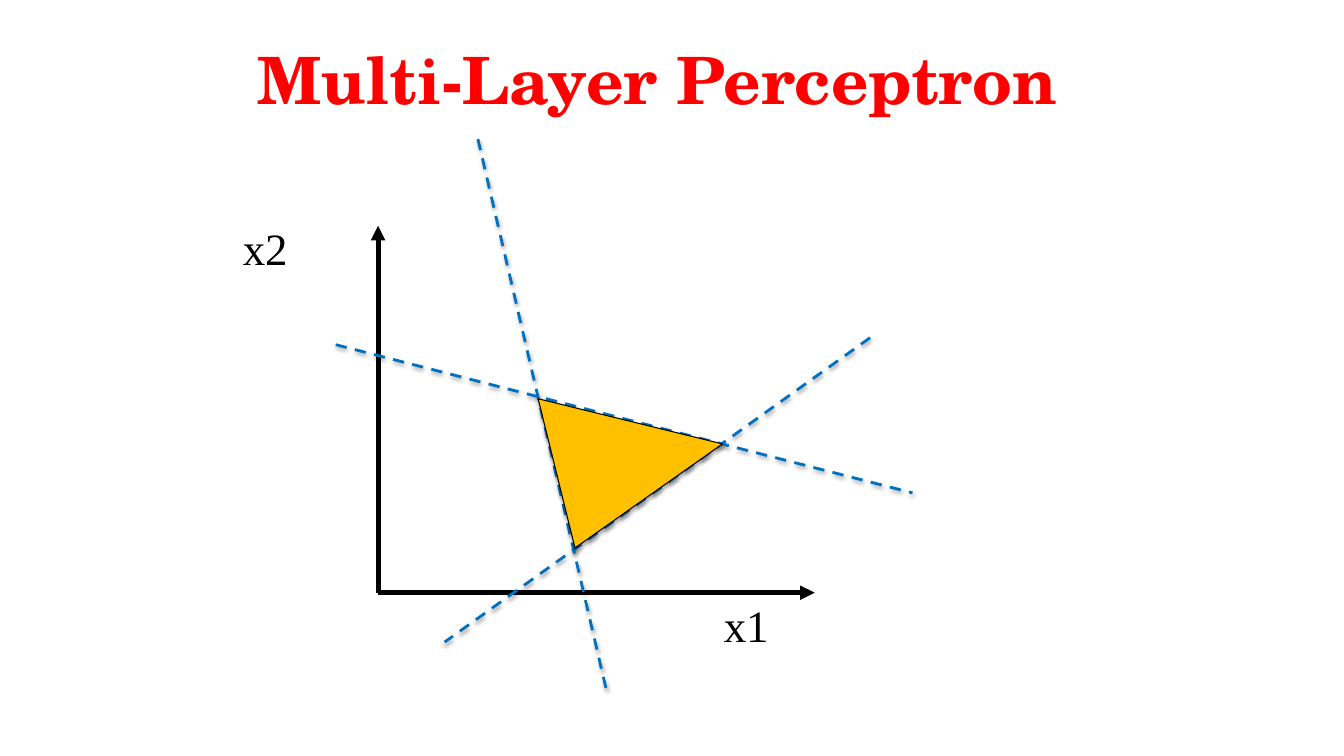
from lxml import etree
from pptx import Presentation
from pptx.dml.color import RGBColor
from pptx.enum import dml, shapes, text
from pptx.oxml import ns
from pptx.util import Inches, Pt

COLORS = {"black": "000000", "red": "FF0000", "blue": "0070C0", "gold": "FFC000"}


def color(name):
    return RGBColor.from_string(COLORS[name])


def add_shade(shape, alpha, dist):
    """Give a shape a soft shadow below it, or none when alpha is 0."""
    effects = etree.SubElement(shape._element.spPr, ns.qn("a:effectLst"))
    if alpha:
        outer = etree.SubElement(
            effects, ns.qn("a:outerShdw"), blurRad=str(Pt(3.1)),
            dist=str(Pt(dist)), dir="5400000", rotWithShape="0")
        black = etree.SubElement(outer, ns.qn("a:srgbClr"), val=COLORS["black"])
        etree.SubElement(black, ns.qn("a:alpha"), val=str(alpha * 1000))


def add_line(parent, start, end, paint, width):
    line = parent.add_connector(
        shapes.MSO_CONNECTOR.STRAIGHT, *map(Inches, start + end))
    line.line.color.rgb = color(paint)
    line.line.width = Pt(width)
    return line


def add_axis(parent, start, end):
    axis = add_line(parent, start, end, "black", 3.5)
    etree.SubElement(axis.line._get_or_add_ln(), ns.qn("a:tailEnd"), type="triangle")
    add_shade(axis, 0, 0)


def add_bound(parent, start, end):
    bound = add_line(parent, start, end, "blue", 2)
    bound.line.dash_style = dml.MSO_LINE.DASH
    add_shade(bound, 38, 1.6)


def add_text(parent, words, box, size=32, font="Times New Roman", paint="black",
             bold=False, wrap=False, align=text.PP_ALIGN.LEFT,
             anchor=text.MSO_ANCHOR.TOP):
    frame = parent.add_textbox(*map(Inches, box)).text_frame
    frame.word_wrap = wrap
    frame.vertical_anchor = anchor
    para = frame.paragraphs[0]
    para.alignment = align
    run = para.add_run()
    run.text = words
    run.font.size = Pt(size)
    run.font.name = font
    run.font.bold = bold
    run.font.color.rgb = color(paint)


def add_region(parent, box, angle, peak):
    region = parent.add_shape(
        shapes.MSO_SHAPE.ISOSCELES_TRIANGLE, *map(Inches, box))
    region.adjustments[0] = peak
    region.rotation = angle
    region.fill.solid()
    region.fill.fore_color.rgb = color("gold")
    region.line.color.rgb = color("black")
    region.line.width = Pt(0.75)
    add_shade(region, 35, 1.8)


def main():
    deck = Presentation()
    deck.slide_width, deck.slide_height = Inches(13.33), Inches(7.5)
    slide = deck.slides.add_slide(deck.slide_layouts[6])

    # Axes with their labels
    plot = slide.shapes.add_group_shape().shapes
    base = (3.75, 5.88)
    add_axis(plot, base, (3.75, 2.24))
    add_axis(plot, base, (8.08, 5.88))
    add_text(plot, "x1", (7.08, 5.88, 0.65, 0.64))
    add_text(plot, "x2", (2.31, 2.14, 0.65, 0.64))

    # Decision boundaries
    for start, end in [((8.63, 3.35), (4.41, 6.37)),
                       ((4.74, 1.38), (6.02, 6.87)),
                       ((3.33, 3.42), (9.05, 4.89))]:
        add_bound(slide.shapes, start, end)

    # Region that they enclose
    add_region(slide.shapes, (5.13, 3.63, 1.79, 1.42), 324.8, 0.31)

    # Title
    add_text(slide.shapes, "Multi-Layer Perceptron", (0.37, 0.27, 12.3, 1.02),
             size=46.6, font="TeX Gyre Schola", paint="red", bold=True, wrap=True,
             align=text.PP_ALIGN.CENTER, anchor=text.MSO_ANCHOR.MIDDLE)

    deck.save("out.pptx")


if __name__ == "__main__":
    main()
